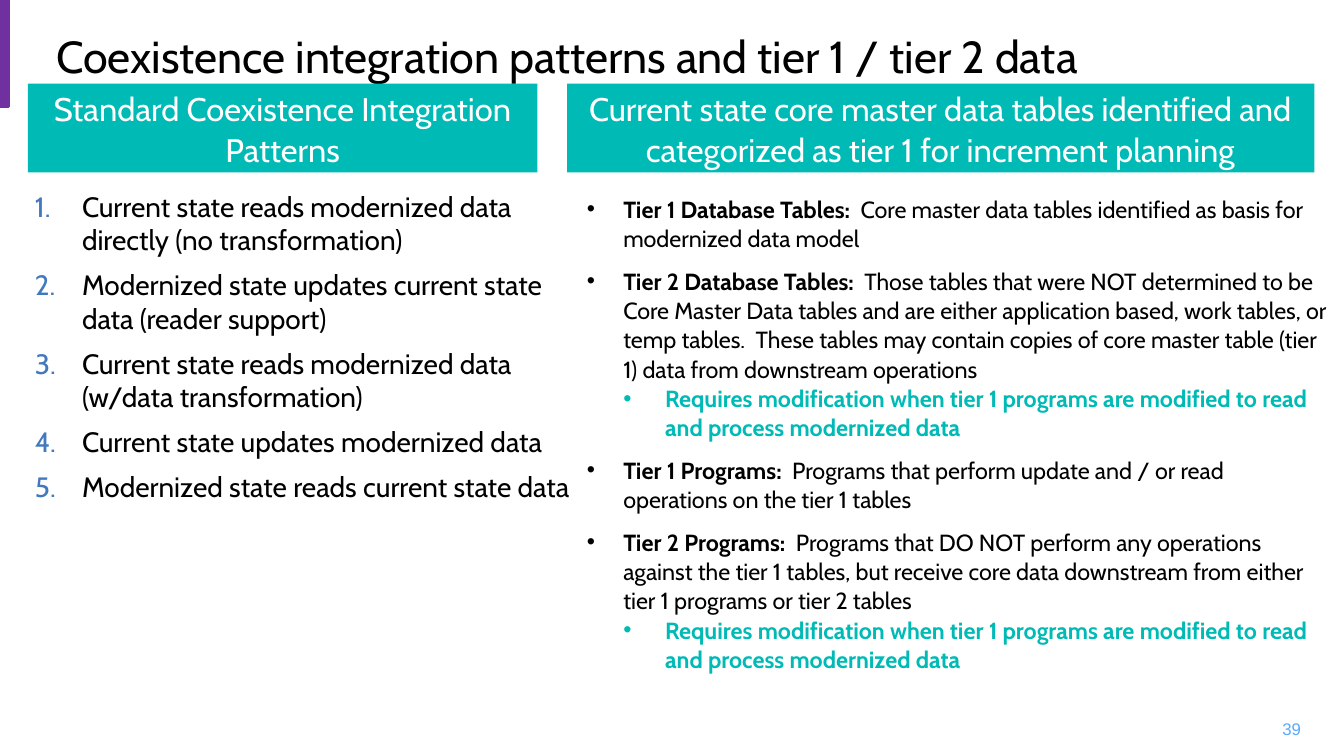
from lxml import etree
from pptx import Presentation
from pptx.dml.color import RGBColor
from pptx.enum import shapes, text
from pptx.oxml import ns
from pptx.util import Cm, Pt

COLORS = {
    "black": "000000",
    "white": "FFFFFF",
    "teal": "00BAB6",
    "purple": "7030A0",
    "number": "4178BE",
    "page": "5AAAFA",
}
PATTERNS = [
    "Current state reads modernized data directly (no transformation)",
    "Modernized state updates current state data (reader support)",
    "Current state reads modernized data (w/data transformation)",
    "Current state updates modernized data",
    "Modernized state reads current state data",
]
MODIFICATION = ("Requires modification when tier 1 programs are modified "
                "to read and process modernized data")
# Term, definition, consequence
TIERS = [
    ("Tier 1 Database Tables:  ",
     "Core master data tables identified as basis for modernized data model", None),
    ("Tier 2 Database Tables:  ",
     "Those tables that were NOT determined to be Core Master Data tables and are "
     "either application based, work tables, or temp tables.  These tables may contain "
     "copies of core master table (tier 1) data from downstream operations", MODIFICATION),
    ("Tier 1 Programs:  ",
     "Programs that perform update and / or read operations on the tier 1 tables", None),
    ("Tier 2 Programs:  ",
     "Programs that DO NOT perform any operations against the tier 1 tables, but receive "
     "core data downstream from either tier 1 programs or tier 2 tables", MODIFICATION),
]
HEADERS = [
    (0.53, 9.63, "Standard Coexistence Integration Patterns"),
    (10.72, 14.12, "Current state core master data tables identified and "
                   "categorized as tier 1 for increment planning"),
]


def rgb(name):
    return RGBColor.from_string(COLORS[name])


def write(paragraph, words, size, color="black", bold=False, font="Cabin"):
    run = paragraph.add_run()
    run.text = words
    run.font.name = font
    run.font.size = Pt(size)
    run.font.bold = bold
    run.font.color.rgb = rgb(color)


def place(shape, left, top, width, height):
    shape.left, shape.top = Cm(left), Cm(top)
    shape.width, shape.height = Cm(width), Cm(height)


def set_frame(frame, margins, anchor):
    """Margins are left, top, right and bottom in centimetres."""
    frame.word_wrap = True
    frame.auto_size = text.MSO_AUTO_SIZE.NONE
    frame.vertical_anchor = anchor
    (frame.margin_left, frame.margin_top,
     frame.margin_right, frame.margin_bottom) = map(Cm, margins)


def next_paragraph(frame, space_before=0, line_spacing=1.0):
    """Return the empty first paragraph, or a new one with space above it."""
    first = frame.paragraphs[0]
    is_first = not first.runs
    paragraph = first if is_first else frame.add_paragraph()
    paragraph.space_before = Pt(0 if is_first else space_before)
    paragraph.line_spacing = line_spacing
    return paragraph


def add_marker(paragraph, left, hanging, color, numbered=False):
    properties = paragraph._p.get_or_add_pPr()
    properties.set("marL", str(Cm(left)))
    properties.set("indent", str(-Cm(hanging)))
    tint = etree.SubElement(properties, ns.qn("a:buClr"))
    etree.SubElement(tint, ns.qn("a:srgbClr"), val=COLORS[color])
    if numbered:
        etree.SubElement(properties, ns.qn("a:buFont"), typeface="Cabin")
        etree.SubElement(properties, ns.qn("a:buAutoNum"), type="arabicPeriod")
    else:
        etree.SubElement(properties, ns.qn("a:buFont"), typeface="Arial")
        etree.SubElement(properties, ns.qn("a:buChar"), char="•")


def add_block(slide, left, top, width, height, color):
    block = slide.shapes.add_shape(
        shapes.MSO_SHAPE.RECTANGLE, Cm(left), Cm(top), Cm(width), Cm(height))
    block.shadow.inherit = False
    block.fill.solid()
    block.fill.fore_color.rgb = rgb(color)
    block.line.fill.background()
    return block


def add_header(slide, left, width, words):
    header = add_block(slide, left, 1.58, width, 1.68, "teal")
    set_frame(header.text_frame, (0, 0, 0, 0), text.MSO_ANCHOR.MIDDLE)
    paragraph = next_paragraph(header.text_frame, line_spacing=1.05)
    paragraph.alignment = text.PP_ALIGN.CENTER
    write(paragraph, words, 17.5, "white")


def fill_title(title):
    place(title, 0.81, 0.13, 23.32, 1.83)
    set_frame(title.text_frame, (0.25, 0.13, 0.25, 0.13), text.MSO_ANCHOR.MIDDLE)
    paragraph = next_paragraph(title.text_frame)
    paragraph.alignment = text.PP_ALIGN.LEFT
    write(paragraph, "Coexistence integration patterns and tier 1 / tier 2 data", 24)


def fill_patterns(body):
    place(body, 0, 3.45, 11.23, 9.42)
    set_frame(body.text_frame, (0.25, 0.13, 0.25, 0.13), text.MSO_ANCHOR.TOP)
    for pattern in PATTERNS:
        paragraph = next_paragraph(body.text_frame, space_before=6)
        add_marker(paragraph, 1.3, 0.89, "number", numbered=True)
        write(paragraph, pattern, 15)


def add_tiers(slide):
    box = slide.shapes.add_textbox(Cm(10.97), Cm(3.25), Cm(14.12), Cm(10.39))
    frame = box.text_frame
    set_frame(frame, (0, 0.41, 0, 0), text.MSO_ANCHOR.TOP)
    for term, definition, consequence in TIERS:
        paragraph = next_paragraph(frame, space_before=7, line_spacing=1.05)
        add_marker(paragraph, 0.81, 0.69, "black")
        write(paragraph, term, 12.5, bold=True)
        write(paragraph, definition, 12.5)
        if consequence:
            paragraph = next_paragraph(frame, line_spacing=1.05)
            paragraph.level = 1
            add_marker(paragraph, 1.6, 0.79, "teal")
            write(paragraph, consequence, 12.5, "teal", bold=True)


def add_page_number(slide):
    box = slide.shapes.add_textbox(Cm(23.72), Cm(13.39), Cm(1.12), Cm(0.76))
    set_frame(box.text_frame, (0.25, 0.13, 0.25, 0.13), text.MSO_ANCHOR.MIDDLE)
    paragraph = next_paragraph(box.text_frame)
    paragraph.alignment = text.PP_ALIGN.RIGHT
    write(paragraph, "39", 9, "page", font="Arial")


def main():
    deck = Presentation()
    deck.slide_width, deck.slide_height = Cm(25.4), Cm(14.29)
    slide = deck.slides.add_slide(deck.slide_layouts[1])

    accent = add_block(slide, 0, 0, 0.15, 2.01, "purple")
    accent.line.color.rgb = rgb("purple")
    accent.line.width = Pt(2)

    fill_title(slide.shapes.title)
    fill_patterns(slide.placeholders[1])
    for left, width, words in HEADERS:
        add_header(slide, left, width, words)
    add_tiers(slide)
    add_page_number(slide)
    deck.save("out.pptx")


if __name__ == "__main__":
    main()
